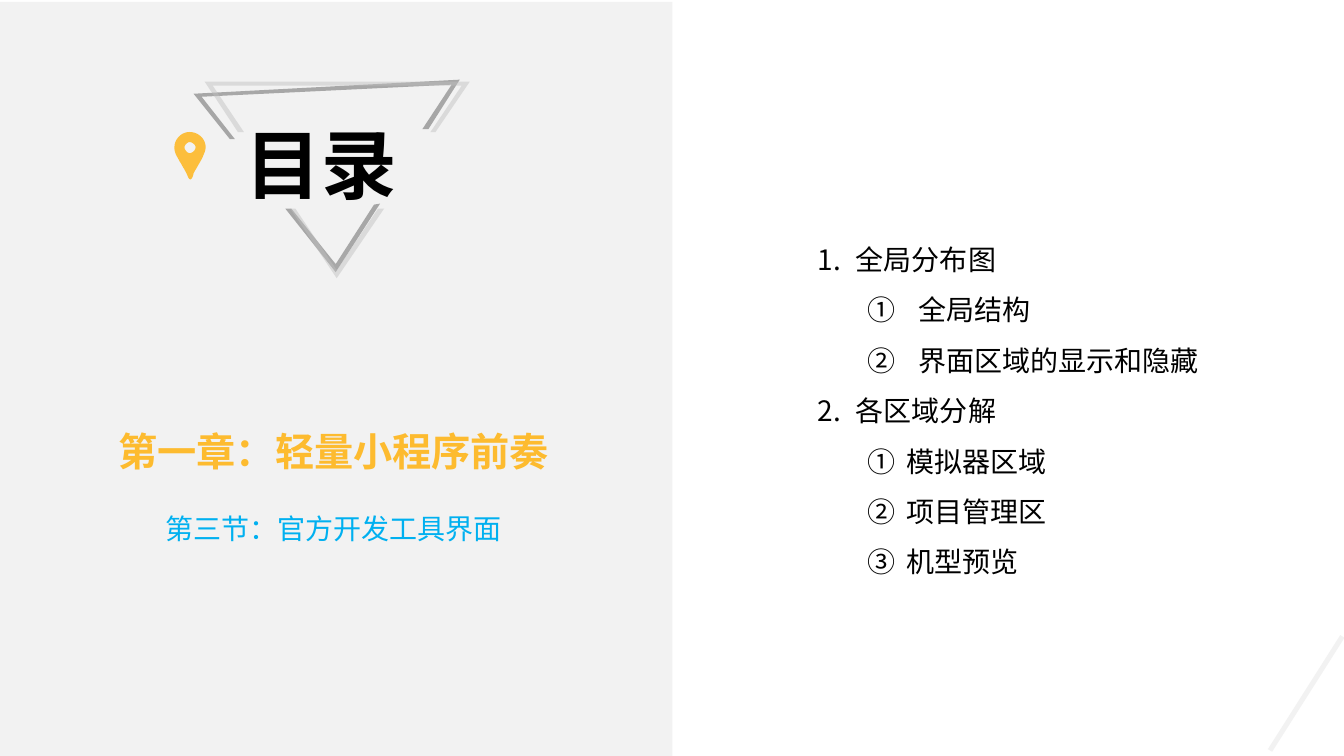
"""Build the contents slide for the developer tool interface section."""
from lxml.etree import SubElement
from pptx import Presentation
from pptx.dml.color import RGBColor
from pptx.enum.shapes import MSO_SHAPE as Preset
from pptx.enum.text import MSO_AUTO_SIZE as AutoSize, PP_ALIGN as Align
from pptx.oxml.ns import qn
from pptx.util import Inches, Pt

FONT = "Noto Sans CJK SC"
COLORS = {
    "panel": "F2F2F2", "ink": "000000", "accent": "FDBB2F", "section": "00B0F0",
    "pin_shade": "D9D9D9", "front_frame": "A6A6A6", "back_frame": "BFBFBF",
    "glow": "FFFFFF",
}
HEADINGS = [
    ("目录", (2.34, 1.12, 1.72, 1.01), dict(size=54, bold=True, wrap=False)),
    ("第一章：轻量小程序前奏", (0.9, 4.19, 4.82, 0.57),
     dict(size=28, bold=True, color="accent", align=Align.CENTER)),
    ("第三节：官方开发工具界面", (0.9, 5.03, 4.82, 0.44),
     dict(color="section", align=Align.CENTER)),
]
TOPICS_BOX = (8.01, 2.19, 4.35, 3.63)
TOPICS = [
    ("全局分布图", 0.5, ["全局结构", "界面区域的显示和隐藏"]),
    ("各区域分解", 0.38, ["模拟器区域", "项目管理区", "机型预览"]),
]
FRONT_FRAME = [
    [(2.83, 2.07), (2.89, 2.07), (3.33, 2.62), (3.71, 2.03), (3.77, 2.02), (3.33, 2.7)],
    [(1.92, 0.93), (4.56, 0.79), (4.25, 1.28), (4.19, 1.28), (4.48, 0.84),
     (2, 0.96), (2.33, 1.38), (2.28, 1.38)],
]
BACK_FRAME = [
    [(2.88, 2.07), (2.93, 2.07), (3.34, 2.68), (3.75, 2.07), (3.81, 2.07), (3.34, 2.76)],
    [(2.03, 0.81), (4.66, 0.81), (4.32, 1.31), (4.27, 1.31), (4.58, 0.85),
     (2.11, 0.85), (2.42, 1.31), (2.36, 1.31)],
]
PIN_CURVES = [
    [(2.04, 1.46), (2.04, 1.38), (1.97, 1.31), (1.88, 1.31), (1.8, 1.31), (1.73, 1.38),
     (1.73, 1.46), (1.73, 1.5), (1.74, 1.53), (1.76, 1.56), (1.78, 1.6), (1.83, 1.68),
     (1.85, 1.72), (1.86, 1.74), (1.87, 1.78), (1.89, 1.78), (1.9, 1.78), (1.92, 1.74),
     (1.92, 1.72), (1.94, 1.68), (1.98, 1.62), (2.01, 1.56), (2.02, 1.53), (2.04, 1.5),
     (2.04, 1.46)],
    [(1.88, 1.41), (1.91, 1.41), (1.94, 1.44), (1.94, 1.46), (1.94, 1.49), (1.91, 1.52),
     (1.88, 1.52), (1.86, 1.52), (1.83, 1.49), (1.83, 1.46), (1.83, 1.44), (1.86, 1.41),
     (1.88, 1.41)],
]


def inches(box):
    return [Inches(length) for length in box]


def paint(shape, color, opacity=100):
    shape.shadow.inherit = False
    shape.line.fill.background()
    shape.fill.solid()
    shape.fill.fore_color.rgb = RGBColor.from_string(COLORS[color])
    if opacity < 100:
        tint = shape.fill._xPr.find(qn("a:solidFill"))[0]
        SubElement(tint, qn("a:alpha"), val=str(opacity * 1000))
    return shape


def add_effect(shape, tag, **settings):
    effects = shape._element.spPr.find(qn("a:effectLst"))
    return SubElement(effects, qn(tag), **settings)


def add_preset(slide, preset, box, color, opacity=100):
    return paint(slide.shapes.add_shape(preset, *inches(box)), color, opacity)


def add_outline(slide, contours, color, opacity=100):
    units = [[(x * 1000, y * 1000) for x, y in contour] for contour in contours]
    builder = slide.shapes.build_freeform(*units[0][0], scale=Inches(1) / 1000)
    for index, contour in enumerate(units):
        if index:
            builder.move_to(*contour[0])
        builder.add_line_segments(contour[1:], close=True)
    return paint(builder.convert_to_shape(), color, opacity)


def flatten(curve, steps=10):
    points = [curve[0]]
    for start in range(0, len(curve) - 1, 3):
        a, b, c, d = curve[start:start + 4]
        for step in range(1, steps + 1):
            t = step / steps
            u = 1 - t
            points.append(tuple(
                u**3 * a[i] + 3 * u * u * t * b[i] + 3 * u * t * t * c[i] + t**3 * d[i]
                for i in (0, 1)))
    return points


def add_frame(slide, box, wrap=True):
    frame = slide.shapes.add_textbox(*inches(box)).text_frame
    frame.word_wrap = wrap
    frame.auto_size = AutoSize.SHAPE_TO_FIT_TEXT
    return frame


def write(frame, text, *, size=20, color="ink", bold=False, align=Align.LEFT,
          level=0, margin=0, hanging=0, numbering=None):
    first = frame.paragraphs[0]
    paragraph = frame.add_paragraph() if first.runs else first
    paragraph.alignment = align
    paragraph.level = level
    if numbering:
        paragraph.line_spacing = 1.5
        properties = paragraph._p.get_or_add_pPr()
        properties.set("marL", str(Inches(margin)))
        properties.set("indent", str(-Inches(hanging)))
        SubElement(properties, qn("a:buFont"), typeface=FONT)
        SubElement(properties, qn("a:buAutoNum"), type=numbering)
    run = paragraph.add_run()
    run.text = text
    run.font.size = Pt(size)
    run.font.bold = bold
    run.font.color.rgb = RGBColor.from_string(COLORS[color])
    run.font.name = FONT
    SubElement(run._r.get_or_add_rPr(), qn("a:ea"), typeface=FONT)


def main():
    deck = Presentation()
    deck.slide_width, deck.slide_height = Inches(13.33), Inches(7.5)
    slide = deck.slides.add_slide(deck.slide_layouts[6])

    add_preset(slide, Preset.RECTANGLE, (0, 0.02, 6.67, 7.5), "panel")
    add_outline(slide, [flatten(curve) for curve in PIN_CURVES], "accent", 93)
    pin_shade = add_preset(slide, Preset.OVAL, (1.73, 1.89, 0.31, 0.11), "pin_shade", 82)
    add_effect(pin_shade, "a:softEdge", rad=str(Pt(5)))
    add_outline(slide, FRONT_FRAME, "front_frame")
    back_frame = add_outline(slide, BACK_FRAME, "back_frame", 47)
    glow = add_effect(back_frame, "a:outerShdw", blurRad=str(Pt(23)), dist=str(Pt(7)), dir="0")
    glow_color = SubElement(glow, qn("a:srgbClr"), val=COLORS["glow"])
    SubElement(glow_color, qn("a:alpha"), val="40000")
    corner_bar = add_preset(slide, Preset.RECTANGLE, (12.93, 6.21, 0.05, 1.34), "panel")
    corner_bar.rotation = 32.4

    for heading, box, style in HEADINGS:
        style = dict(style)
        write(add_frame(slide, box, style.pop("wrap", True)), heading, **style)

    topics_frame = add_frame(slide, TOPICS_BOX)
    for topic, hanging, parts in TOPICS:
        write(topics_frame, topic, margin=0.38, hanging=0.38, numbering="arabicPeriod")
        for part in parts:
            write(topics_frame, part, level=1, margin=0.5 + hanging, hanging=hanging,
                  numbering="circleNumDbPlain")

    deck.save("out.pptx")


if __name__ == "__main__":
    main()
